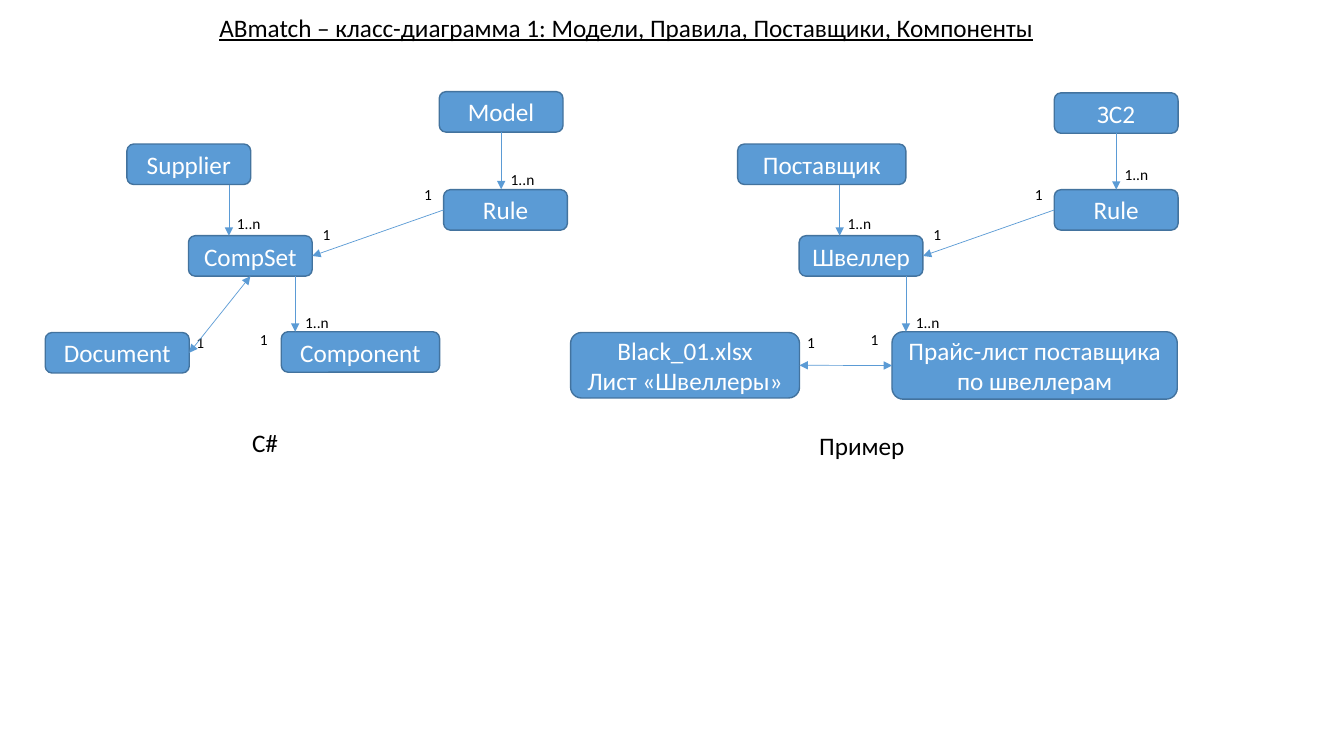
from dataclasses import dataclass

from lxml.etree import SubElement
from pptx import Presentation
from pptx.dml.color import RGBColor
from pptx.enum.shapes import MSO_CONNECTOR, MSO_SHAPE
from pptx.enum.text import MSO_ANCHOR, MSO_AUTO_SIZE, PP_ALIGN
from pptx.oxml.ns import qn
from pptx.util import Cm, Pt


@dataclass(frozen=True)
class Theme:
    """Hold the colours, font and type sizes of the slide."""
    fill: RGBColor = RGBColor(0x5B, 0x9B, 0xD5)
    edge: RGBColor = RGBColor(0x43, 0x73, 0x9E)
    light: RGBColor = RGBColor(0xFF, 0xFF, 0xFF)
    dark: RGBColor = RGBColor(0, 0, 0)
    font: str = "Calibri"
    main: int = 18
    small: int = 11


THEME = Theme()
TOP, LEFT, BOTTOM, RIGHT = range(4)
SHIFT = 15.39
WIDTH, HEIGHT = 3.12, 1.02


def apply(thing, values):
    """Set each attribute named in values."""
    for name, value in values.items():
        setattr(thing, name, value)


def write(shape, text, size, color, align, frame=None, font=None):
    """Put formatted text into a shape."""
    body = shape.text_frame
    body.text = text
    apply(body, {"word_wrap": True, "auto_size": MSO_AUTO_SIZE.NONE,
                 "vertical_anchor": MSO_ANCHOR.TOP, **(frame or {})})
    for par in body.paragraphs:
        par.alignment = align
        for run in par.runs:
            apply(run.font, {"name": THEME.font, "size": Pt(size), **(font or {})})
            run.font.color.rgb = color


def add_box(slide, text, left, top, width=WIDTH, height=HEIGHT):
    """Add a rounded class box."""
    box = slide.shapes.add_shape(MSO_SHAPE.ROUNDED_RECTANGLE,
                                 Cm(left), Cm(top), Cm(width), Cm(height))
    box.shadow.inherit = False
    box.fill.solid()
    box.fill.fore_color.rgb = THEME.fill
    box.line.color.rgb = THEME.edge
    box.line.width = Pt(1)
    write(box, text, THEME.main, THEME.light, PP_ALIGN.CENTER,
          {"vertical_anchor": MSO_ANCHOR.MIDDLE})
    return box


def add_link(slide, start=None, end=None, points=(0, 0, 0, 0), both=False):
    """Add an arrow between points, joined to any (box, side) given."""
    link = slide.shapes.add_connector(MSO_CONNECTOR.STRAIGHT, *map(Cm, points))
    if start:
        link.begin_connect(*start)
    if end:
        link.end_connect(*end)
    link.line.color.rgb = THEME.fill
    link.line.width = Pt(0.5)
    props = link.element.spPr
    for tip in ("a:headEnd", "a:tailEnd") if both else ("a:tailEnd",):
        SubElement(props.find(qn("a:ln")), qn(tip), type="triangle")
    SubElement(props, qn("a:effectLst"))


def add_count(slide, text, left, top):
    """Add a small count beside an arrow."""
    one = text == "1"
    box = slide.shapes.add_textbox(Cm(left), Cm(top), Cm(0.38 if one else 1.42), Cm(0.74))
    frame = {"margin_left": Cm(0.1), "margin_right": 0} if one else {}
    write(box, text, THEME.small, THEME.dark, PP_ALIGN.LEFT, frame)


def add_label(slide, text, left, top):
    """Add a caption below a diagram."""
    box = slide.shapes.add_textbox(Cm(left), Cm(top), Cm(7.82), Cm(HEIGHT))
    write(box, text, THEME.main, THEME.dark, PP_ALIGN.CENTER)


def add_title(slide, text):
    """Move and format the title placeholder."""
    title = slide.shapes.title
    apply(title, {"left": Cm(5.03), "top": Cm(0.18),
                  "width": Cm(21.51), "height": Cm(HEIGHT)})
    write(title, text, THEME.main, THEME.dark, PP_ALIGN.CENTER, font={"underline": True})


def add_graph(slide, shift, names, sizes):
    """Draw the shared part of a diagram and return its boxes."""
    spots = {"vendor": (3.2, 3.63), "set": (4.75, 5.94),
             "part": (7.09, 8.36), "rule": (11.18, 4.78)}
    boxes = {key: add_box(slide, names[key], left + shift, top, *sizes.get(key, ()))
             for key, (left, top) in spots.items()}
    for left, top, end in ((5.77, 4.65, 5.94), (7.44, 6.96, 8.36)):
        add_link(slide, points=(left + shift, top, left + shift, end))
    add_link(slide, (boxes["rule"], LEFT), (boxes["set"], RIGHT))
    for text, left, top in (("1..n", 5.72, 5.28), ("1..n", 7.44, 7.77),
                            ("1", 4.85, 8.26), ("1", 6.45, 8.2),
                            ("1", 10.59, 4.55), ("1", 8.03, 5.54)):
        add_count(slide, text, left + shift, top)
    return boxes


def add_code(slide):
    """Draw the class diagram on the left."""
    names = {"vendor": "Supplier", "set": "CompSet", "part": "Component", "rule": "Rule"}
    boxes = add_graph(slide, 0, names, {"part": (3.99,)})
    paper = add_box(slide, "Document", 1.14, 8.38, 3.63)
    model = add_box(slide, "Model", 11.07, 2.31)
    add_link(slide, (paper, RIGHT), (boxes["set"], BOTTOM), both=True)
    add_link(slide, (model, BOTTOM), points=(12.63, 3.33, 12.63, 4.77))
    add_count(slide, "1..n", 12.62, 4.17)
    add_label(slide, "C#", 2.77, 10.64)


def add_sample(slide):
    """Draw the worked example on the right."""
    names = {"vendor": "Поставщик", "set": "Швеллер",
             "part": "Прайс-лист поставщика по швеллерам", "rule": "Rule"}
    boxes = add_graph(slide, SHIFT, names, {"vendor": (4.24,), "part": (7.19, 1.7)})
    paper = add_box(slide, "Black_01.xlsx\nЛист «Швеллеры»", 14.38, 8.38, 5.77, 1.65)
    model = add_box(slide, "ЗС2", 26.57, 2.34)
    add_link(slide, (paper, RIGHT), (boxes["part"], LEFT), both=True)
    add_link(slide, (model, BOTTOM), (boxes["rule"], TOP))
    add_count(slide, "1..n", 28.09, 4.04)
    add_label(slide, "Пример", 17.81, 10.72)


def main():
    """Build and save the slide."""
    deck = Presentation()
    apply(deck, {"slide_width": Cm(33.87), "slide_height": Cm(19.05)})
    slide = deck.slides.add_slide(deck.slide_layouts[5])
    add_title(slide, "ABmatch – класс-диаграмма 1: Модели, Правила, Поставщики, Компоненты")
    add_code(slide)
    add_sample(slide)
    deck.save("out.pptx")


if __name__ == "__main__":
    main()
